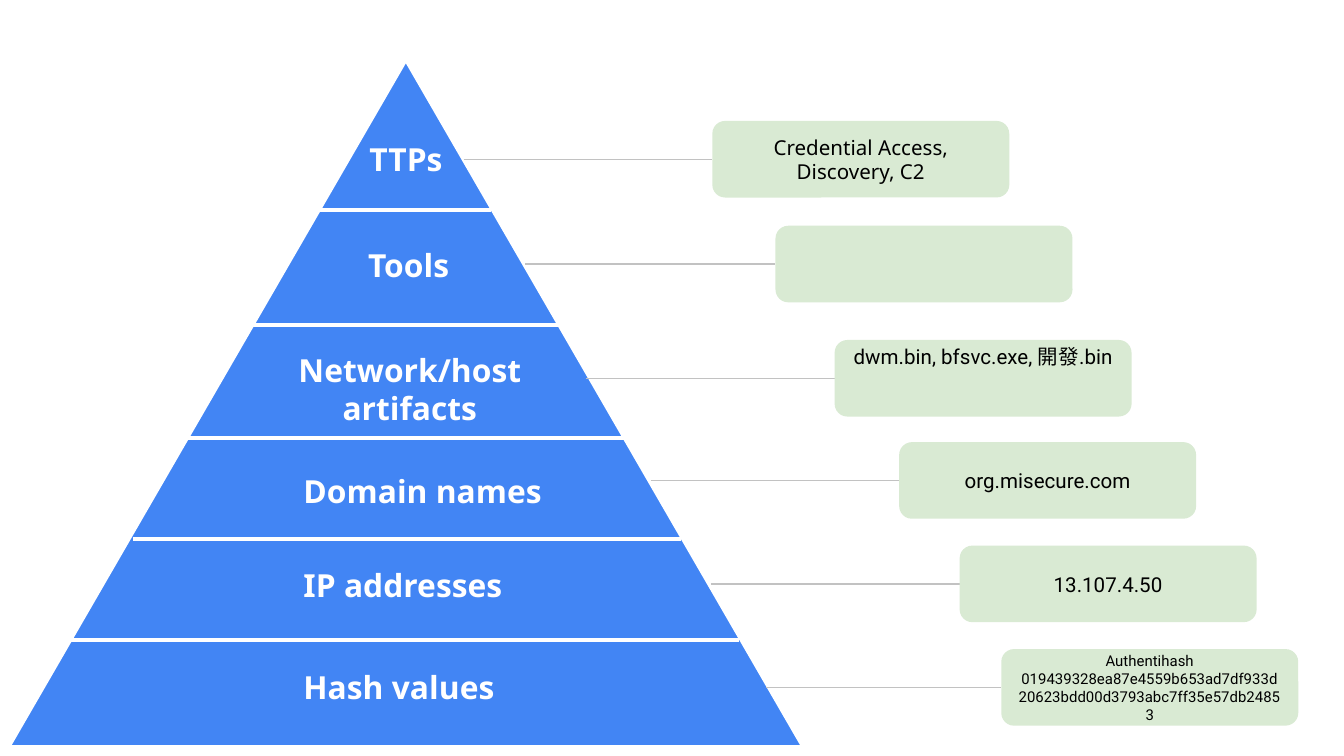
from dataclasses import dataclass

from lxml import etree
from pptx import Presentation
from pptx.dml.color import RGBColor
from pptx.enum.shapes import MSO_CONNECTOR, MSO_SHAPE
from pptx.enum.text import MSO_ANCHOR, PP_ALIGN
from pptx.oxml.ns import qn
from pptx.util import Inches, Pt


@dataclass(frozen=True)
class Theme:
    blue: str = "4285F4"
    green: str = "D9EAD3"
    grey: str = "C2C2C2"
    white: str = "FFFFFF"
    black: str = "000000"
    label_font: str = "Noto Sans"
    example_font: str = "Roboto"
    label_size: float = 17
    example_size: float = 11
    hash_size: float = 8


THEME = Theme()
SLIDE_W = 10
SLIDE_H = SLIDE_W * 9 / 16
BOX_W, BOX_H = 2.21, 0.57

# Label, left, top, width, height, alignment
LABELS = [
    ("TTPs", 2.65, 0.94, 0.88, 0.49, PP_ALIGN.LEFT),
    ("Tools", 2.64, 1.73, 0.88, 0.49, PP_ALIGN.LEFT),
    ("Network/host artifacts", 1.96, 2.51, 2.18, 0.77, PP_ALIGN.CENTER),
    ("Domain names", 2.16, 3.41, 2.24, 0.49, PP_ALIGN.LEFT),
    ("IP addresses", 2.16, 4.11, 2.24, 0.49, PP_ALIGN.LEFT),
    ("Hash values", 2.16, 4.87, 2.24, 0.49, PP_ALIGN.LEFT),
]

# Left, right, height of each white divider
DIVIDERS = [
    (2.38, 3.65, 1.56),
    (1.88, 4.17, 2.42),
    (1.39, 4.64, 3.26),
    (0.99, 5.07, 4.01),
    (0.53, 5.5, 4.76),
]

# Connector start, box left, box top, paragraphs, font, size, raised
EXAMPLES = [
    (3.45, 5.3, 0.9, ["Credential Access, Discovery, C2"],
     THEME.label_font, THEME.example_size, False),
    (3.91, 5.77, 1.68, [], THEME.example_font, THEME.example_size, False),
    (4.36, 6.21, 2.53, ["dwm.bin, bfsvc.exe, 開發.bin"],
     THEME.example_font, THEME.example_size, True),
    (4.84, 6.69, 3.29, ["org.misecure.com"],
     THEME.example_font, THEME.example_size, False),
    (5.29, 7.14, 4.06, ["13.107.4.50"],
     THEME.example_font, THEME.example_size, False),
    (5.7, 7.45, 4.83,
     ["Authentihash",
      "019439328ea87e4559b653ad7df933d20623bdd00d3793abc7ff35e57db24853"],
     THEME.example_font, THEME.hash_size, False),
]


def rgb(value):
    return RGBColor.from_string(value)


def add_filled(shapes, preset, box, fill):
    shape = shapes.add_shape(preset, *map(Inches, box))
    shape.shadow.inherit = False
    shape.fill.solid()
    shape.fill.fore_color.rgb = rgb(fill)
    shape.line.fill.background()
    return shape


def add_rule(shapes, left, right, y, color, width, kind=MSO_CONNECTOR.STRAIGHT):
    rule = shapes.add_connector(kind, Inches(left), Inches(y), Inches(right), Inches(y))
    rule.line.color.rgb = rgb(color)
    rule.line.width = Pt(width)
    etree.SubElement(rule._element.spPr, qn("a:effectLst"))


def write(shape, paragraphs, font, size, color, align, anchor, bold=False):
    frame = shape.text_frame
    frame.word_wrap = True
    frame.vertical_anchor = anchor
    frame.margin_left = frame.margin_right = Inches(0.1)
    frame.margin_top = frame.margin_bottom = Inches(0.1)
    for i, text in enumerate(paragraphs):
        paragraph = frame.paragraphs[0] if i == 0 else frame.add_paragraph()
        paragraph.alignment = align
        run = paragraph.add_run()
        run.text = text
        run.font.name = font
        run.font.size = Pt(size)
        run.font.bold = bold
        run.font.color.rgb = rgb(color)


def add_pyramid(slide):
    group = slide.shapes.add_group_shape()
    triangle = add_filled(group.shapes, MSO_SHAPE.ISOSCELES_TRIANGLE,
                          (0.06, 0.44, 5.92, 5.12), THEME.blue)
    triangle.line.color.rgb = rgb(THEME.white)
    triangle.line.width = Pt(2.25)
    for left, right, y in DIVIDERS:
        add_rule(group.shapes, left, right, y, THEME.white, 2.25)


def add_label(slide, text, left, top, width, height, align):
    box = slide.shapes.add_textbox(*map(Inches, (left, top, width, height)))
    write(box, [text], THEME.label_font, THEME.label_size, THEME.white,
          align, MSO_ANCHOR.TOP, bold=True)


def add_example(slide, start, left, top, paragraphs, font, size, raised):
    add_rule(slide.shapes, start, left, top + BOX_H / 2, THEME.grey, 0.75,
             MSO_CONNECTOR.ELBOW)
    box = add_filled(slide.shapes, MSO_SHAPE.ROUNDED_RECTANGLE,
                     (left, top, BOX_W, BOX_H), THEME.green)
    write(box, paragraphs, font, size, THEME.black, PP_ALIGN.CENTER,
          MSO_ANCHOR.TOP if raised else MSO_ANCHOR.MIDDLE)
    if raised:
        box.text_frame.margin_top = 0


def main():
    prs = Presentation()
    prs.slide_width, prs.slide_height = Inches(SLIDE_W), Inches(SLIDE_H)
    slide = prs.slides.add_slide(prs.slide_layouts[6])

    # Pyramid with its level names
    add_pyramid(slide)
    for label in LABELS:
        add_label(slide, *label)

    # Example for each level
    for example in EXAMPLES:
        add_example(slide, *example)

    prs.save("out.pptx")


main()
